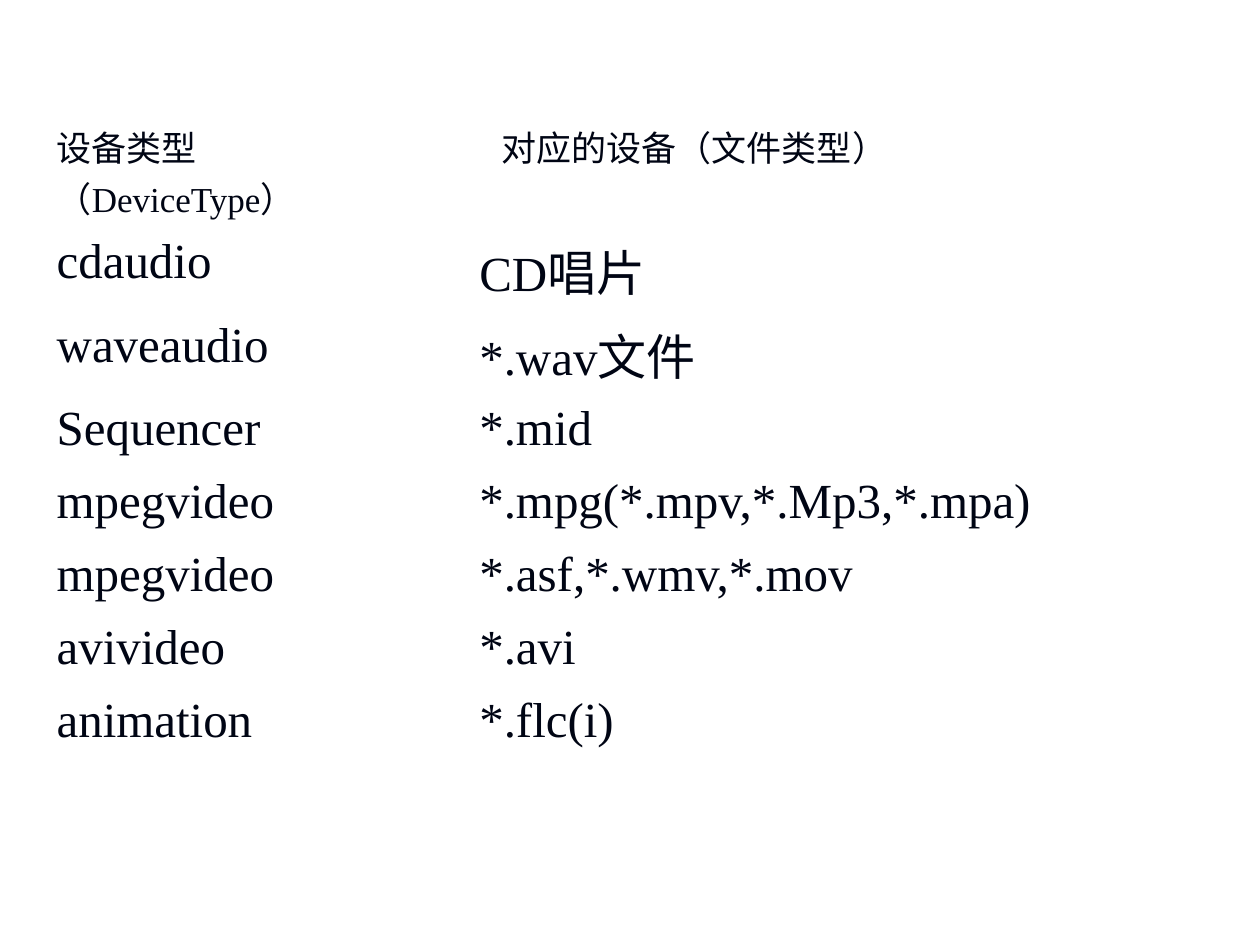
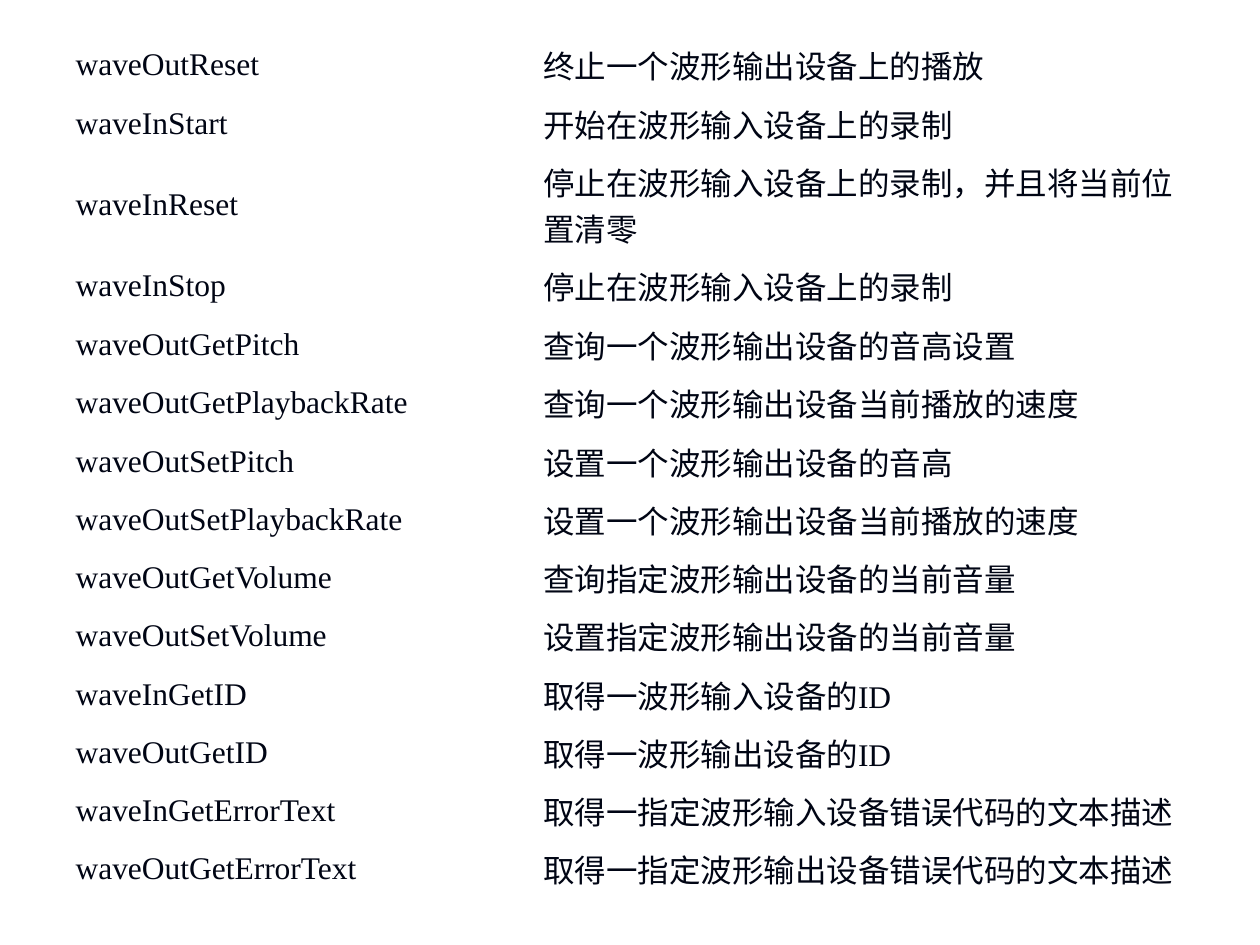
from dataclasses import dataclass

from lxml.etree import SubElement as Sub
from pptx import Presentation
from pptx.dml.color import RGBColor as Rgb
from pptx.enum.text import MSO_ANCHOR as Anchor
from pptx.oxml.ns import qn
from pptx.util import Inches, Pt


@dataclass(frozen=True)
class Theme:
    """Colours, type sizes and the slide grid."""
    font: str = "Times New Roman"
    ink: str = "000514"
    edge: str = "FFFFFF"
    line: float = 0.45
    head: int = 20
    big: int = 28
    small: int = 18
    wide: int = Inches(10)
    high: int = Inches(7.5)
    cells: int = 100

    def col(self, n):
        """Return the width of n grid columns."""
        return round(self.wide * n / self.cells)

    def row(self, n):
        """Return the height of n grid rows."""
        return round(self.high * n / self.cells)


look = Theme()

TYPES = [
    ("设备类型（DeviceType）", "对应的设备（文件类型）"),
    ("cdaudio", "CD唱片"),
    ("waveaudio", "*.wav文件"),
    ("Sequencer", "*.mid"),
    ("mpegvideo", "*.mpg(*.mpv,*.Mp3,*.mpa)"),
    ("mpegvideo", "*.asf,*.wmv,*.mov"),
    ("avivideo", "*.avi"),
    ("animation", "*.flc(i)"),
    ("", ""),
    ("", ""),
]

CALLS = [
    ("waveOutReset", "终止一个波形输出设备上的播放"),
    ("waveInStart", "开始在波形输入设备上的录制"),
    ("waveInReset", "停止在波形输入设备上的录制，并且将当前位置清零"),
    ("waveInStop", "停止在波形输入设备上的录制"),
    ("waveOutGetPitch", "查询一个波形输出设备的音高设置"),
    ("waveOutGetPlaybackRate", "查询一个波形输出设备当前播放的速度"),
    ("waveOutSetPitch", "设置一个波形输出设备的音高"),
    ("waveOutSetPlaybackRate", "设置一个波形输出设备当前播放的速度"),
    ("waveOutGetVolume", "查询指定波形输出设备的当前音量"),
    ("waveOutSetVolume", "设置指定波形输出设备的当前音量"),
    ("waveInGetID", "取得一波形输入设备的ID"),
    ("waveOutGetID", "取得一波形输出设备的ID"),
    ("waveInGetErrorText", "取得一指定波形输入设备错误代码的文本描述"),
    ("waveOutGetErrorText", "取得一指定波形输出设备错误代码的文本描述"),
]


def frame(cell):
    """Clear the fill of a cell and rule its four sides."""
    props = cell._tc.get_or_add_tcPr()
    for side in ("lnL", "lnR", "lnT", "lnB"):
        rule = Sub(props, qn(f"a:{side}"), w=str(Pt(look.line)))
        paint = Sub(rule, qn("a:solidFill"))
        Sub(paint, qn("a:srgbClr"), val=look.edge)
    cell.fill.background()


def write(cell, text, size, shift=0):
    """Put one run in a cell, shifted right by some grid columns."""
    para = cell.text_frame.paragraphs[0]
    if shift:
        para._p.get_or_add_pPr().set("marL", str(look.col(shift)))
    run = para.add_run()
    run.text = text
    run.font.name = look.font
    run.font.size = Pt(size)
    run.font.color.rgb = Rgb.from_string(look.ink)


def grid(slide, left, top, cols, rows):
    """Add a plain ruled table at a grid place."""
    table = slide.shapes.add_table(
        len(rows), len(cols), look.col(left), look.row(top),
        look.col(sum(cols)), look.row(sum(rows))).table
    table.first_row = table.horz_banding = False
    for col, width in zip(table.columns, cols):
        col.width = look.col(width)
    for row, height in zip(table.rows, rows):
        row.height = look.row(height)
    for cell in table.iter_cells():
        frame(cell)
    return table


def types(slide, left, top):
    """List device types beside the files they play."""
    rows = [10.27] + [7.73] * (len(TYPES) - 2) + [17.73]
    table = grid(slide, left, top, (31.6, 58.4), rows)
    for r, pair in enumerate(TYPES):
        size, inset = (look.big, 1.94) if r else (look.head, 3.7)
        for c, text in enumerate(pair):
            if text:
                write(table.cell(r, c), text, size, c * inset)
    last = len(TYPES) - 1
    table.cell(last, 0).merge(table.cell(last, 1))


def calls(slide, left, top):
    """List wave functions beside what they do."""
    tall = {0: 6.27, 2: 9.33, 4: 6.27}
    rows = [tall.get(r, 6) for r in range(len(CALLS))]
    table = grid(slide, left, top, (37.1, 54.3), rows)
    for r, pair in enumerate(CALLS):
        for c, text in enumerate(pair):
            cell = table.cell(r, c)
            cell.vertical_anchor = Anchor.MIDDLE
            write(cell, text, look.small)


def main():
    """Build both slides and save the deck."""
    deck = Presentation()
    deck.slide_width, deck.slide_height = look.wide, look.high
    blank = deck.slide_layouts[6]
    types(deck.slides.add_slide(blank), 3.5, 12.13)
    calls(deck.slides.add_slide(blank), 5, 3.73)
    deck.save("out.pptx")


if __name__ == "__main__":
    main()
